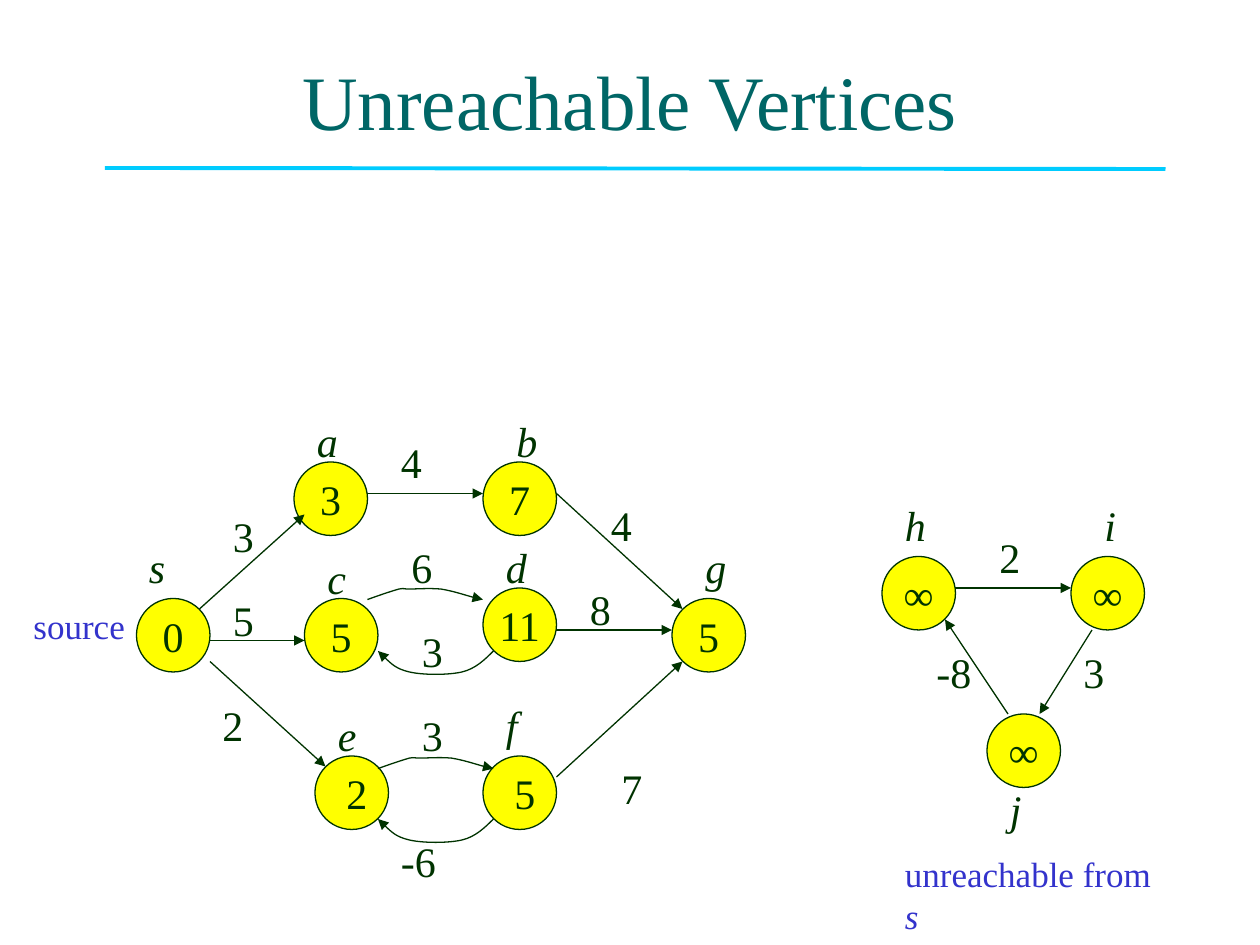
from typing import NamedTuple

from lxml import etree
from pptx import Presentation
from pptx.dml.color import RGBColor
from pptx.enum.shapes import MSO_CONNECTOR, MSO_SHAPE
from pptx.enum.text import MSO_ANCHOR, MSO_AUTO_SIZE, PP_ALIGN
from pptx.oxml.ns import qn
from pptx.util import Cm, Pt

STRAIGHT, OVAL = MSO_CONNECTOR.STRAIGHT, MSO_SHAPE.OVAL
CENTER, LEFT = PP_ALIGN.CENTER, PP_ALIGN.LEFT
MIDDLE, TOP = MSO_ANCHOR.MIDDLE, MSO_ANCHOR.TOP
GROW, FIXED = MSO_AUTO_SIZE.SHAPE_TO_FIT_TEXT, MSO_AUTO_SIZE.NONE

COLORS = {"title": "006666", "rule": "00CCFF", "ink": "003300",
          "vertex": "FFFF00", "note": "3333CC"}
FONT = "Times New Roman"
DIAMETER = 7


class Vertex(NamedTuple):
    name: str
    value: str
    x: float
    y: float
    name_x: float
    name_y: float
    name_width: float = 4.4


class Edge(NamedTuple):
    start: tuple
    end: tuple


class Weight(NamedTuple):
    text: str
    x: float
    y: float


# Places are counted in twelfths of an inch
VERTICES = [
    Vertex("s", "0", 13, 57, 13, 51, 4),
    Vertex("a", "3", 28, 44, 29, 39),
    Vertex("c", "5", 29, 57, 30, 52, 4.2),
    Vertex("d", "11", 46, 56, 47, 51),
    Vertex("b", "7", 46, 44, 48, 39),
    Vertex("f", " 5", 46, 72, 47, 66, 3.5),
    Vertex("g", "5", 64, 57, 66, 51),
    Vertex("e", " 2", 30, 72, 31, 67, 4.2),
    Vertex("h", "∞", 84, 53, 85, 47),
    Vertex("i", "∞", 102, 53, 104, 47, 3.5),
    Vertex("j", "∞", 94, 68, 95, 74, 3.5),
]
EDGES = [
    Edge((19, 58), (29, 49)), Edge((20, 61), (29, 61)),
    Edge((20, 63), (31, 73)), Edge((35, 47), (46, 47)),
    Edge((53, 47), (65, 58)), Edge((53, 60), (64, 60)),
    Edge((53, 74), (65, 63)), Edge((91, 56), (102, 56)),
    Edge((104, 60), (99, 68)), Edge((96, 68), (90, 59)),
]
WEIGHTS = [
    Weight("3", 21, 48), Weight("5", 21, 56), Weight("2", 20, 66),
    Weight("3", 39, 67), Weight("-6", 37, 79), Weight("7", 58, 72),
    Weight("8", 55, 55), Weight("4", 57, 47), Weight("4", 37, 41),
    Weight("6", 38, 51), Weight("3", 39, 59), Weight("2", 94, 50),
    Weight("-8", 88, 61), Weight("3", 102, 61),
]
# Bézier points after the start, three to a segment
ARC_OVER = [(1.1, -0.4), (2.3, -0.8), (3, -1), (3.6, -1.1), (3.3, -1), (4, -1),
            (4.7, -1), (5.8, -1.1), (7, -1), (8.2, -0.8), (10.3, -0.1), (11, 0)]
ARC_UNDER = [(-0.8, 0.8), (-1.7, 1.7), (-3, 2), (-4.3, 2.3), (-6.7, 2.3),
             (-8, 2), (-9.3, 1.7), (-10.2, 0.8), (-11, 0)]
ARCS = [((35, 57.1), ARC_OVER), ((47, 62), ARC_UNDER),
        ((36, 73.2), ARC_OVER), ((47, 78), ARC_UNDER)]


def grid(units: float) -> int:
    return Cm(units * 2.54 / 12)


def color(name: str) -> RGBColor:
    return RGBColor.from_string(COLORS[name])


def write(box, spans: list, size: float, ink: str = "ink", align=LEFT,
          **frame_format) -> None:
    """Fill a box with (text, italic) spans."""
    frame = box.text_frame
    settings = {"word_wrap": False, "auto_size": GROW, "vertical_anchor": TOP}
    for key, value in (settings | frame_format).items():
        setattr(frame, key, value)
    para = frame.paragraphs[0]
    para.alignment = align
    for text, italic in spans:
        span = para.add_run()
        span.text = text
        for key, value in {"name": FONT, "size": Pt(size), "italic": italic}.items():
            setattr(span.font, key, value)
        span.font.color.rgb = color(ink)


def add_text(page, x: float, y: float, width: float, height: float,
             spans: list, size: float = 24, **options) -> None:
    box = page.shapes.add_textbox(grid(x), grid(y), grid(width), grid(height))
    write(box, spans, size, **options)


def set_line(shape, ink: str = "ink", width: float = 0.75, arrow: bool = False) -> None:
    shape.line.color.rgb = color(ink)
    shape.line.width = Pt(width)
    if arrow:
        outline = shape.line._get_or_add_ln()
        etree.SubElement(outline, qn("a:tailEnd"), type="triangle")


def add_line(page, edge: Edge, **line_format) -> None:
    ends = [grid(units) for units in edge.start + edge.end]
    line = page.shapes.add_connector(STRAIGHT, *ends)
    set_line(line, **line_format)
    etree.SubElement(line._element.spPr, qn("a:effectLst"))


def add_arc(page, start: tuple, offsets: list) -> None:
    x, y = start
    builder = page.shapes.build_freeform(grid(x), grid(y))
    builder.add_line_segments([(grid(x + dx), grid(y + dy)) for dx, dy in offsets],
                              close=False)
    arc = builder.convert_to_shape()
    arc.shadow.inherit = False
    arc.fill.background()
    set_line(arc, arrow=True)
    # Join every three straight steps into one cubic curve
    outline = next(arc._element.iter(qn("a:path")))
    steps = outline.findall(qn("a:lnTo"))
    for first in range(0, len(steps), 3):
        curve = etree.SubElement(outline, qn("a:cubicBezTo"))
        for step in steps[first:first + 3]:
            curve.append(step[0])
            outline.remove(step)


def add_vertex(page, vertex: Vertex) -> None:
    circle = page.shapes.add_shape(OVAL, grid(vertex.x), grid(vertex.y),
                                   grid(DIAMETER), grid(DIAMETER))
    circle.shadow.inherit = False
    circle.fill.solid()
    circle.fill.fore_color.rgb = color("vertex")
    set_line(circle)
    write(circle, [(vertex.value, False)], 24, align=CENTER,
          auto_size=FIXED, vertical_anchor=MIDDLE)


def main() -> None:
    deck = Presentation()
    deck.slide_width, deck.slide_height = Cm(25.4), Cm(19.05)
    page = deck.slides.add_slide(deck.slide_layouts[6])

    # Title and rule
    add_text(page, 9, 2, 102, 15, [("Unreachable Vertices", False)], 44, ink="title",
             align=CENTER, word_wrap=True, auto_size=FIXED, vertical_anchor=MIDDLE)
    add_line(page, Edge((10, 16), (111, 16.1)), ink="rule", width=2.25)

    # Graph
    for vertex in VERTICES:
        add_vertex(page, vertex)
    for edge in EDGES:
        add_line(page, edge, arrow=True)
    for start, offsets in ARCS:
        add_arc(page, start, offsets)

    # Edge weights and vertex names
    for weight in WEIGHTS:
        width = 4.4 if len(weight.text) == 1 else 5.8
        add_text(page, weight.x, weight.y, width, 6, [(weight.text, False)])
    for vertex in VERTICES:
        add_text(page, vertex.name_x, vertex.name_y, vertex.name_width, 6,
                 [(vertex.name, True)])

    # Notes
    add_text(page, 85, 80.6, 27.8, 5.2, [("unreachable from ", False), ("s", True)],
             20, ink="note", word_wrap=True)
    add_text(page, 2, 57, 11.2, 5.2, [("source", False)], 20, ink="note")

    deck.save("out.pptx")


if __name__ == "__main__":
    main()
